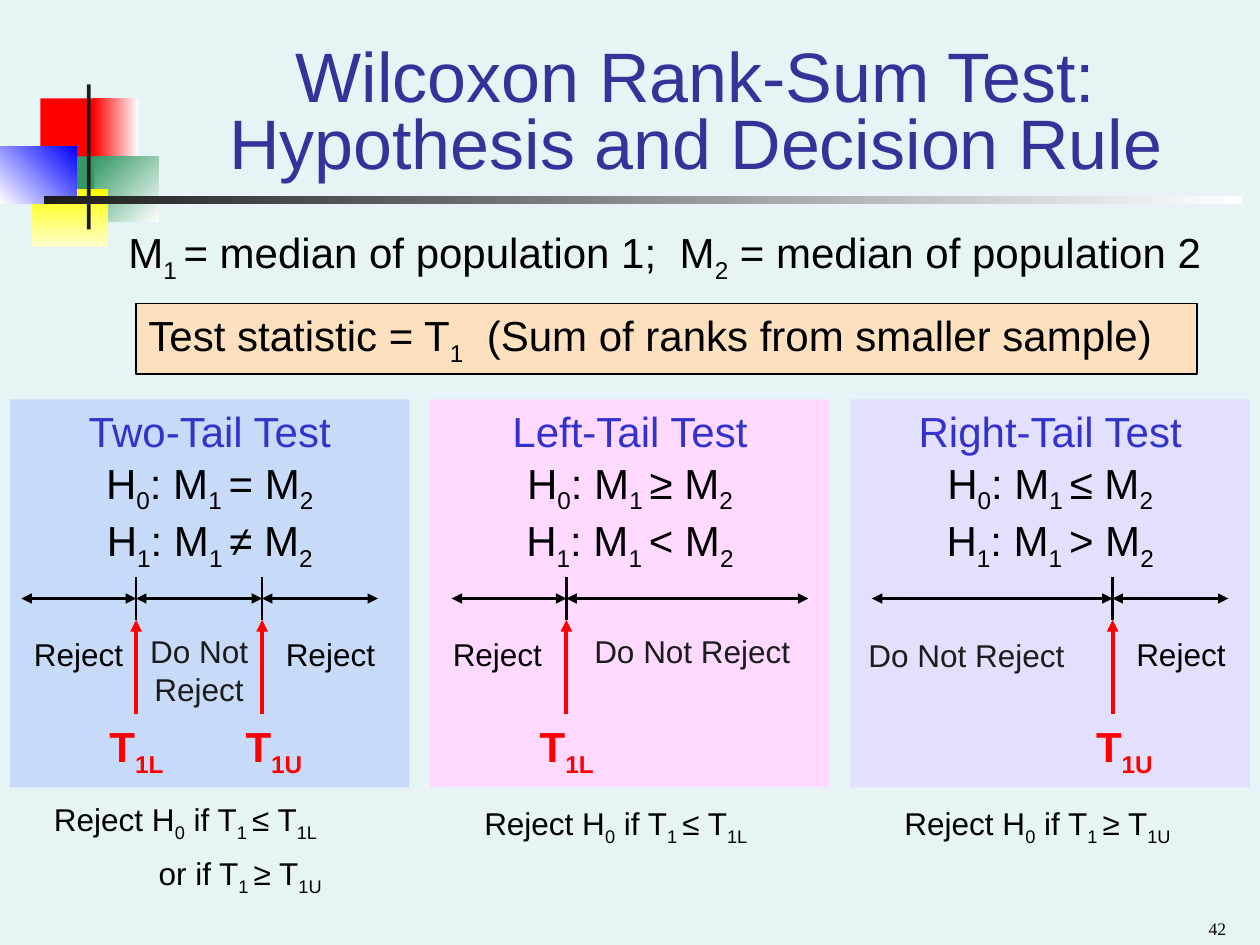
from dataclasses import dataclass

from lxml import etree
from pptx import Presentation
from pptx.dml.color import RGBColor
from pptx.enum.shapes import MSO_CONNECTOR, MSO_SHAPE
from pptx.enum.text import MSO_ANCHOR, MSO_AUTO_SIZE, PP_ALIGN
from pptx.oxml.ns import qn
from pptx.util import Inches, Pt

RECTANGLE = MSO_SHAPE.RECTANGLE
STRAIGHT = MSO_CONNECTOR.STRAIGHT
LEFT, CENTER, RIGHT = PP_ALIGN.LEFT, PP_ALIGN.CENTER, PP_ALIGN.RIGHT
TOP, BOTTOM = MSO_ANCHOR.TOP, MSO_ANCHOR.BOTTOM
FIT_SHAPE, NO_FIT = MSO_AUTO_SIZE.SHAPE_TO_FIT_TEXT, MSO_AUTO_SIZE.NONE

BACKGROUND = RGBColor(0xE7, 0xF4, 0xF5)
BLACK = RGBColor(0, 0, 0)
WHITE = RGBColor(0xFF, 0xFF, 0xFF)
CHARCOAL = RGBColor(0x1C, 0x1C, 0x1C)
RED = RGBColor(0xFF, 0, 0)
GREEN = RGBColor(0x33, 0x99, 0x66)
YELLOW = RGBColor(0xFF, 0xFF, 0)
PALE_YELLOW = RGBColor(0xFF, 0xFF, 0xCC)
BLUE = RGBColor(0, 0, 0xFF)
TITLE_BLUE = RGBColor(0x33, 0x33, 0x99)
HEADING_BLUE = RGBColor(0x33, 0x33, 0xCC)
PEACH = RGBColor(0xFD, 0xE0, 0xBD)
PANEL_BLUE = RGBColor(0xC7, 0xDA, 0xF7)
PANEL_PINK = RGBColor(0xFF, 0xD9, 0xFF)
PANEL_LILAC = RGBColor(0xE2, 0xE0, 0xFC)

PANEL_LEFT, PANEL_STEP, PANEL_TOP = 0.08, 3.335, 3.17
AXIS_Y, TICK_TOP, TICK_BOTTOM, ARROW_BOTTOM = 4.75, 4.58, 4.92, 5.67

Box = tuple[float, float, float, float]


@dataclass
class Block:
    """A rectangle with one colour, or two colours and a clockwise angle."""
    box: Box
    colors: tuple[RGBColor, ...]
    angle: int = 0


@dataclass
class Region:
    text: str
    left: float
    top: float
    width: float
    height: float = 0.4


@dataclass
class TailTest:
    """Horizontal positions are measured from the left edge of the panel."""
    title: str
    signs: tuple[str, str]
    fill: RGBColor
    axis: tuple[float, float]
    cutoffs: dict[str, float]
    regions: list[Region]
    rules: list[str]
    rule_box: tuple[float, float]
    rule_spacing: float = 1.0


ORNAMENT = [
    Block((0.32, 0.78, 0.48, 0.52), (RED,)),
    Block((0.74, 0.78, 0.36, 0.52), (WHITE, RED), 180),
    Block((0.75, 1.24, 0.51, 0.52), (WHITE, GREEN), 225),
    Block((0.43, 1.24, 0.32, 0.52), (GREEN,)),
    Block((0.25, 1.5, 0.61, 0.46), (YELLOW, PALE_YELLOW), 90),
    Block((0, 1.16, 0.61, 0.46), (BLUE, WHITE), 135),
    Block((0.69, 0.67, 0.03, 1.15), (CHARCOAL,)),
    Block((0.35, 1.56, 9.51, 0.06), (WHITE, CHARCOAL), 180),
]

LOWER_RULE = "Reject H~0~ if T~1 ~≤ T~1L~"
TESTS = [
    TailTest("Two-Tail Test", ("=", "≠"), PANEL_BLUE, (0.09, 2.92), {"L": 1.0, "U": 2.0},
             [Region("Reject", 0.09, 4.99, 1.25), Region("Do Not Reject", 0.99, 4.97, 1.02, 0.7),
              Region("Reject", 2.09, 4.99, 1)],
             [LOWER_RULE, "or if T~1 ~≥ T~1U~"], (0.25, 0.8), 0.8),
    TailTest("Left-Tail Test", ("≥", "<"), PANEL_PINK, (0.17, 3.0), {"L": 1.08},
             [Region("Reject", 0.08, 4.99, 1.25), Region("Do Not Reject", 1.08, 4.97, 2)],
             [LOWER_RULE], (0.33, 0.44)),
    TailTest("Right-Tail Test", ("≤", ">"), PANEL_LILAC, (0.17, 3.0), {"U": 2.08},
             [Region("Do Not Reject", -0.08, 5, 2), Region("Reject", 2.17, 4.99, 1)],
             ["Reject H~0~ if T~1 ~≥ T~1U~"], (0.33, 0.44)),
]


def draw_block(slide, block: Block):
    shape = slide.shapes.add_shape(RECTANGLE, *map(Inches, block.box))
    shape.shadow.inherit = False
    shape.line.fill.background()
    if len(block.colors) == 1:
        shape.fill.solid()
        shape.fill.fore_color.rgb = block.colors[0]
    else:
        shape.fill.gradient()
        shape.fill.gradient_angle = 360 - block.angle
        for stop, color in zip(shape.fill.gradient_stops, block.colors):
            stop.color.rgb = color
    return shape


def write(shape, lines: list[str], size: float, color: RGBColor = BLACK, align=LEFT,
          before: float = 0, spacing: float = 1.0, bold: bool = False, wrap: bool = True,
          anchor=TOP, fit=FIT_SHAPE, font: str = "Arial") -> None:
    """Write one paragraph per line; text between tildes is subscript."""
    frame = shape.text_frame
    frame.word_wrap, frame.auto_size, frame.vertical_anchor = wrap, fit, anchor
    for index, line in enumerate(lines):
        paragraph = frame.add_paragraph() if index else frame.paragraphs[0]
        pieces = line.split("~")
        paragraph.text = pieces[0]
        for position, piece in enumerate(pieces[1:], 1):
            if piece:
                run = paragraph.add_run()
                run.text = piece
                if position % 2:
                    run.font._element.set("baseline", "-25000")
        paragraph.alignment = align
        paragraph.space_before = Pt(before)
        paragraph.line_spacing = spacing
        paragraph.font.name, paragraph.font.size = font, Pt(size)
        paragraph.font.bold, paragraph.font.color.rgb = bold, color


def add_text(slide, box: Box, lines: list[str], size: float, **style):
    shape = slide.shapes.add_textbox(*map(Inches, box))
    write(shape, lines, size, **style)
    return shape


def draw_line(slide, start: tuple[float, float], end: tuple[float, float],
              color: RGBColor = BLACK, width: float = 1.5, arrows: tuple[str, ...] = ()) -> None:
    line = slide.shapes.add_connector(STRAIGHT, *map(Inches, start + end))
    line.line.color.rgb, line.line.width = color, Pt(width)
    for arrow in arrows:
        etree.SubElement(line.line._get_or_add_ln(), qn(f"a:{arrow}")).set("type", "triangle")
    etree.SubElement(line._element.spPr, qn("a:effectLst"))


def draw_test(slide, test: TailTest, left: float) -> None:
    draw_block(slide, Block((left, PANEL_TOP, 3.17, 3.08), (test.fill,)))
    text_left = left + 0.085
    hypotheses = [f"H~{index}~: M~1 ~{sign} M~2~" for index, sign in enumerate(test.signs)]
    add_text(slide, (text_left, 3.58, 3, 1.01), hypotheses, 24, align=CENTER)
    add_text(slide, (text_left, PANEL_TOP, 3, 0.5), [test.title], 24,
             color=HEADING_BLUE, align=CENTER, before=15)

    # Rejection regions along the axis
    for region in test.regions:
        rejected = region.text == "Reject"
        add_text(slide, (left + region.left, region.top, region.width, region.height),
                 [region.text], 18, color=BLACK if rejected else CHARCOAL,
                 align=LEFT if rejected else CENTER, before=11.2 if rejected else 0)
    stops = [test.axis[0], *test.cutoffs.values(), test.axis[1]]
    for start, end in zip(stops, stops[1:]):
        draw_line(slide, (left + start, AXIS_Y), (left + end, AXIS_Y),
                  arrows=("headEnd", "tailEnd"))

    # Critical values
    for side, offset in test.cutoffs.items():
        x = left + offset
        draw_line(slide, (x, ARROW_BOTTOM), (x, TICK_BOTTOM), RED, 2.24, ("tailEnd",))
        draw_line(slide, (x, TICK_TOP), (x, TICK_BOTTOM))
        shift, width = (0.31, 0.63) if side == "L" else (0.23, 0.65)
        add_text(slide, (x - shift, ARROW_BOTTOM, width, 0.56), [f"T~1{side}~"], 24,
                 color=RED, bold=True, wrap=False)

    # Decision rule
    rule_left, rule_height = test.rule_box
    rule = add_text(slide, (left + rule_left, 6.33, 2.58, rule_height), test.rules, 18,
                    before=11.2, spacing=test.rule_spacing)
    for paragraph in rule.text_frame.paragraphs[1:]:
        paragraph._p.get_or_add_pPr().set("marL", str(Inches(0.83)))


presentation = Presentation()
presentation.slide_width, presentation.slide_height = Inches(10), Inches(7.5)
slide = presentation.slides.add_slide(presentation.slide_layouts[6])
slide.background.fill.solid()
slide.background.fill.fore_color.rgb = BACKGROUND

# Corner ornament and title
for block in ORNAMENT:
    draw_block(slide, block)
add_text(slide, (1.26, 0.25, 8.52, 1.25), ["Wilcoxon Rank-Sum Test:\vHypothesis and Decision Rule"],
         40, color=TITLE_BLUE, align=CENTER, before=20, spacing=0.8, anchor=BOTTOM, fit=NO_FIT)

# Definitions and test statistic
add_text(slide, (0.92, 1.83, 8.83, 0.42),
         ["M~1 ~= median of population 1;  M~2~ = median of population 2"],
         24, before=15, spacing=0.7)
statistic = draw_block(slide, Block((1.08, 2.41, 8.42, 0.56), (PEACH,)))
statistic.line.color.rgb, statistic.line.width = BLACK, Pt(0.74)
write(statistic, ["Test statistic = T~1~  (Sum of ranks from smaller sample)"], 24, before=15)

# Three tests side by side
for index, test in enumerate(TESTS):
    draw_test(slide, test, PANEL_LEFT + index * PANEL_STEP)

# Slide number
add_text(slide, (7.5, 7.15, 2.33, 0.35), ["42"], 10, align=RIGHT, anchor=BOTTOM,
         fit=NO_FIT, font="Times New Roman")

presentation.save("out.pptx")
